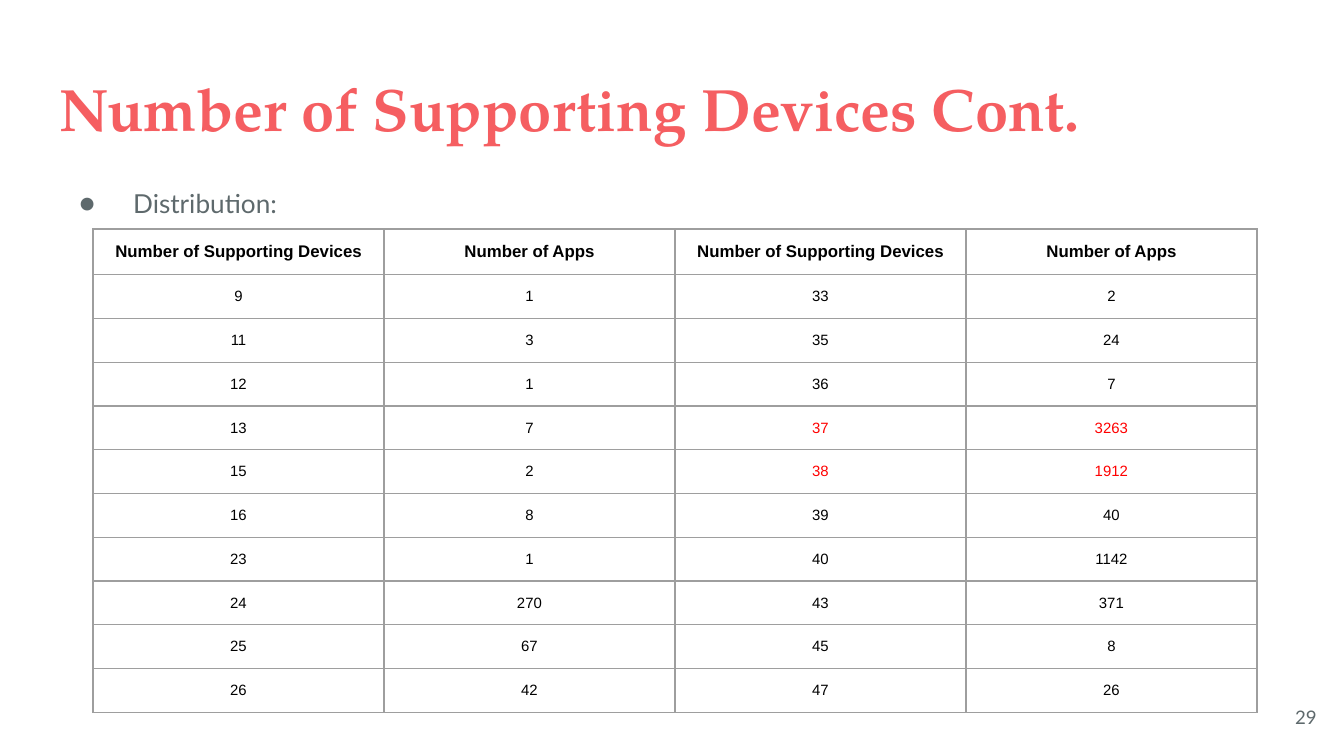
from lxml.etree import SubElement
from pptx import Presentation
from pptx.dml.color import RGBColor
from pptx.enum.text import MSO_ANCHOR as Anchor, MSO_AUTO_SIZE as AutoSize, PP_ALIGN as Align
from pptx.oxml import parse_xml
from pptx.oxml.ns import nsdecls, qn
from pptx.util import Emu, Inches, Pt

# Content
TITLE = "Number of Supporting Devices Cont."
BULLET = " Distribution:"
PAGE = "29"
HEADER = ["Number of Supporting Devices", "Number of Apps"] * 2
ROWS = [
    (9, 1, 33, 2),
    (11, 3, 35, 24),
    (12, 1, 36, 7),
    (13, 7, 37, 3263),
    (15, 2, 38, 1912),
    (16, 8, 39, 40),
    (23, 1, 40, 1142),
    (24, 270, 43, 371),
    (25, 67, 45, 8),
    (26, 42, 47, 26),
]
HIGHLIGHTED = {37, 38}  # device counts whose right-hand pair is red

THEME = {
    "title": dict(font="TeX Gyre Pagella", size=32, color="F55E61", bold=True),
    "body": dict(font="Lato", size=14, color="5E696C"),
    "page": dict(font="Lato", size=10, color="5E696C"),
    "header": dict(font="Arial", size=9, color="000000", bold=True),
    "cell": dict(font="Arial", size=8, color="000000"),
    "highlight": dict(font="Arial", size=8, color="FF0000"),
    "border": "9E9E9E",
}

# Layout in px
SLIDE_W, SLIDE_H = 1344, 756
TITLE_BOX = (46, 58, 1253, 91)
BODY_BOX = (46, 169, 587, 503)
PAGE_BOX = (1249, 688, 81, 58)
TABLE_X, TABLE_Y, COL_W, ROW_H = 93, 229, 291, 43
BULLET_INDENT, BULLET_HANG = 67, 47
INSET = Inches(0.1)


def px(n):
    return Emu(round(n * Inches(10) / SLIDE_W))


def place(sp, box):
    sp.left, sp.top, sp.width, sp.height = map(px, box)


def write(tf, text, *, font, size, color, bold=False, align=Align.LEFT):
    p = tf.paragraphs[0]
    p.alignment = align
    r = p.add_run()
    r.text = text
    r.font.name, r.font.size, r.font.bold = font, Pt(size), bold
    r.font.color.rgb = RGBColor.from_string(color)
    return p


def frame(sp, anchor=Anchor.TOP):
    tf = sp.text_frame
    tf.word_wrap, tf.auto_size, tf.vertical_anchor = True, AutoSize.NONE, anchor
    tf.margin_left = tf.margin_right = tf.margin_top = tf.margin_bottom = INSET
    return tf


def add_bullet(p, color):
    pPr = p._p.get_or_add_pPr()
    pPr.set("marL", str(px(BULLET_INDENT)))
    pPr.set("indent", str(-px(BULLET_HANG)))
    SubElement(SubElement(pPr, qn("a:buClr")), qn("a:srgbClr"), val=color)
    SubElement(pPr, qn("a:buFont"), typeface="Lato")
    SubElement(pPr, qn("a:buChar"), char="●")


def add_borders(cell, color):
    tcPr = cell._tc.get_or_add_tcPr()
    for i, side in enumerate("LRTB"):
        tcPr.insert(i, parse_xml(
            f'<a:ln{side} {nsdecls("a")} w="{Pt(0.75)}"><a:solidFill>'
            f'<a:srgbClr val="{color}"/></a:solidFill></a:ln{side}>'))


def fill_cell(cell, text, style):
    cell.margin_left = cell.margin_right = cell.margin_top = cell.margin_bottom = INSET
    cell.fill.background()
    add_borders(cell, THEME["border"])
    write(cell.text_frame, text, align=Align.CENTER, **THEME[style])


def cell_style(row, col):
    return "highlight" if col >= 2 and row[2] in HIGHLIGHTED else "cell"


prs = Presentation()
prs.slide_width, prs.slide_height = px(SLIDE_W), px(SLIDE_H)
s = prs.slides.add_slide(prs.slide_layouts[1])

# Title
title = s.shapes.title
place(title, TITLE_BOX)
write(frame(title), TITLE, **THEME["title"])

# Page number
page = s.shapes.add_textbox(*map(px, PAGE_BOX))
write(frame(page, Anchor.MIDDLE), PAGE, align=Align.RIGHT, **THEME["page"])

# Bullet list
body = s.placeholders[1]
place(body, BODY_BOX)
p = write(frame(body), BULLET, **THEME["body"])
p.line_spacing, p.space_before = 1.15, Pt(0)
add_bullet(p, THEME["body"]["color"])

# Distribution table
n_rows, n_cols = len(ROWS) + 1, len(HEADER)
table = s.shapes.add_table(n_rows, n_cols, px(TABLE_X), px(TABLE_Y),
                           px(COL_W * n_cols), px(ROW_H * n_rows)).table
table.first_row = table.horz_banding = False
for column in table.columns:
    column.width = px(COL_W)
for table_row in table.rows:
    table_row.height = px(ROW_H)
for c, text in enumerate(HEADER):
    fill_cell(table.cell(0, c), text, "header")
for i, row in enumerate(ROWS, 1):
    for c, value in enumerate(row):
        fill_cell(table.cell(i, c), str(value), cell_style(row, c))

prs.save("out.pptx")
